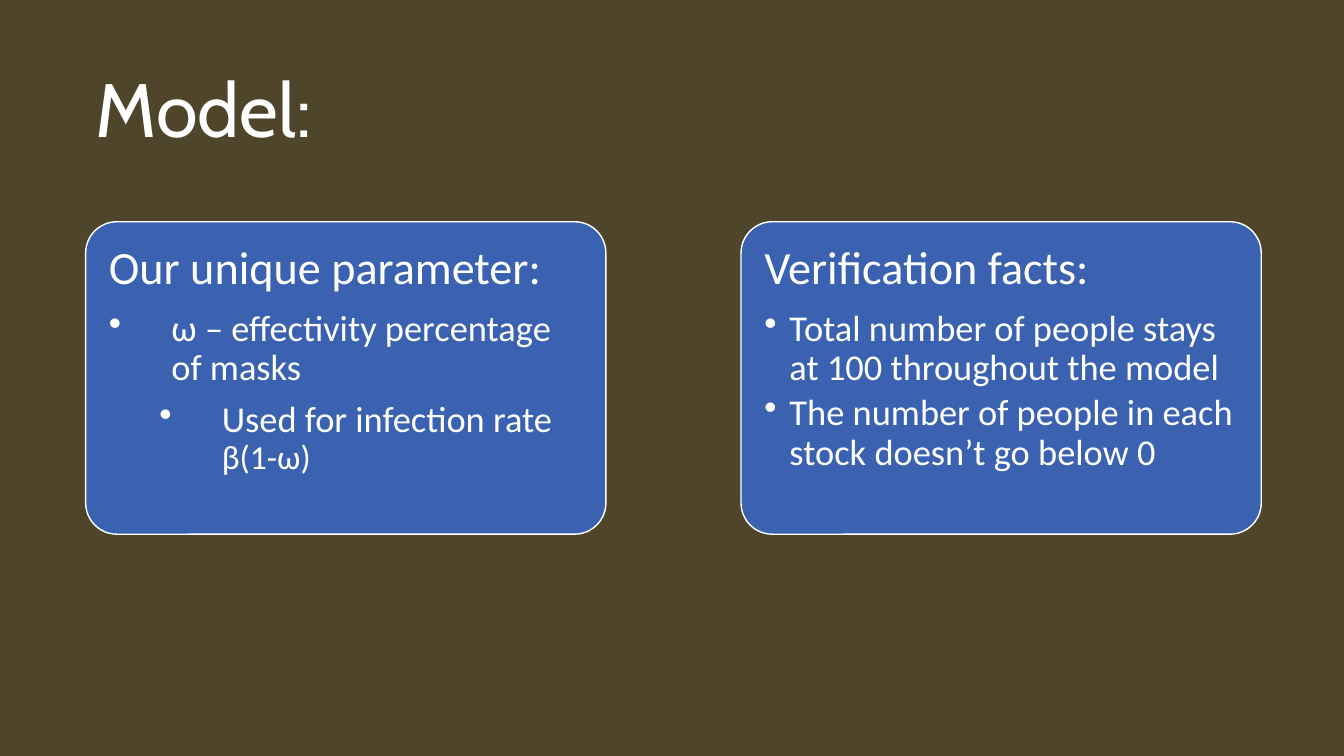
import pptx
import pptx.util
import pptx.dml.color
import pptx.enum.shapes
import pptx.enum.text
import pptx.oxml.ns
from lxml import etree

Inches, Pt = pptx.util.Inches, pptx.util.Pt
Shape = pptx.enum.shapes.MSO_SHAPE
Anchor = pptx.enum.text.MSO_ANCHOR
Align = pptx.enum.text.PP_ALIGN
qn = pptx.oxml.ns.qn
WHITE = "FFFFFF"


def paint(fill, color):
    fill.solid()
    fill.fore_color.rgb = pptx.dml.color.RGBColor.from_string(color)


def style(para, font, size, after):
    """Set the spacing and the white font of a left-aligned paragraph."""
    para.alignment = Align.LEFT
    para.line_spacing = 0.9
    para.space_before = Pt(0)
    para.space_after = Pt(after)
    para.font.name = font
    para.font.size = Pt(size)
    paint(para.font.fill, WHITE)


deck = pptx.Presentation()
deck.slide_width, deck.slide_height = Inches(13.33), Inches(7.5)
slide = deck.slides.add_slide(deck.slide_layouts[6])
paint(slide.background.fill, "36301E")

# Translucent veil over the background
veil = slide.shapes.add_shape(Shape.RECTANGLE, 0, 0, deck.slide_width, deck.slide_height)
veil.shadow.inherit = False
veil.line.fill.background()
paint(veil.fill, "51482D")
tint = veil.fill._xPr.find(qn("a:solidFill"))[0]
etree.SubElement(tint, qn("a:alpha"), val="90000")

# Title
left = 0.85
title = slide.shapes.add_textbox(Inches(left), Inches(0.4), Inches(11.63), Inches(1.45))
frame = title.text_frame
frame.word_wrap = True
frame.vertical_anchor = Anchor.MIDDLE
frame.text = "Model:"
style(frame.paragraphs[0], "Cabin", 54, 0)

# Cards: heading, then bullets as (level, margin, hang, space after, runs)
cards = [
    ("Our unique parameter:", [
        (0, 0.62, 0.62, 9, [("ω – effectivity percentage of masks", 26)]),
        (1, 1.12, 0.62, 9, [("Used for infection rate ", 26), ("β(1-ω) ", 24)]),
    ]),
    ("Verification facts:", [
        (1, 0.25, 0.25, 4, [("Total number of people stays at 100 throughout the model", 26)]),
        (1, 0.25, 0.25, 4, [("The number of people in each stock doesn’t go below 0", 26)]),
    ]),
]
step = 6.5
for col, (head, items) in enumerate(cards):
    card = slide.shapes.add_shape(Shape.ROUNDED_RECTANGLE, Inches(left + col * step),
                                  Inches(2.2), Inches(5.16), Inches(3.1))
    card.adjustments[0] = 0.1
    card.shadow.inherit = False
    paint(card.fill, "3B62B1")
    paint(card.line.fill, WHITE)
    card.line.width = Pt(1)
    frame = card.text_frame
    frame.word_wrap = True
    frame.vertical_anchor = Anchor.TOP
    frame.margin_left = frame.margin_right = Inches(0.14)
    frame.margin_top = frame.margin_bottom = Inches(0.14)
    frame.text = head
    style(frame.paragraphs[0], "Calibri", 33, 11)
    for level, margin, hang, after, runs in items:
        para = frame.add_paragraph()
        para.level = level
        props = para._p.get_or_add_pPr()
        props.set("marL", str(Inches(margin)))
        props.set("indent", str(-Inches(hang)))
        etree.SubElement(props, qn("a:buChar"), char="•")
        style(para, "Calibri", runs[0][1], after)
        for text, size in runs:
            run = para.add_run()
            run.text = text
            if size != runs[0][1]:
                run.font.size = Pt(size)

deck.save("out.pptx")
